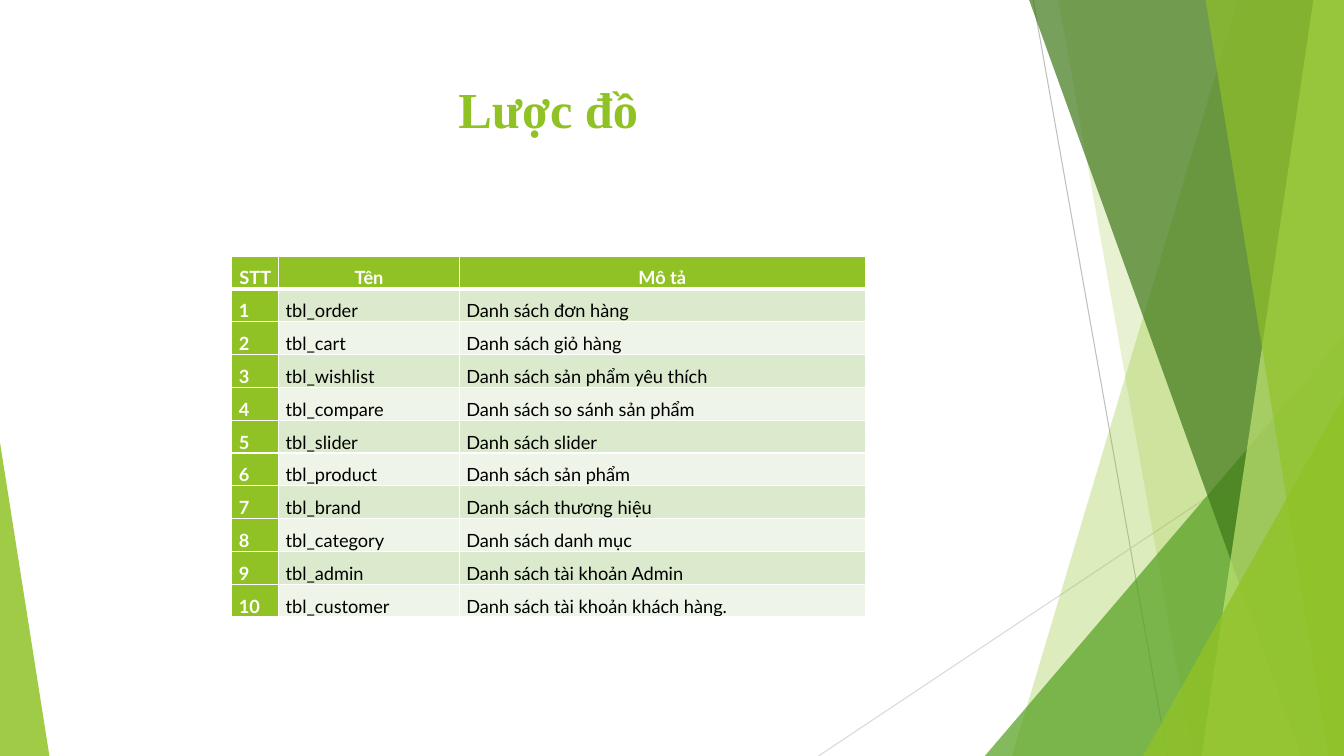
from lxml import etree
from pptx import Presentation
from pptx.dml.color import RGBColor
from pptx.enum import shapes, text
from pptx.oxml import ns
from pptx.util import Pt

W, H = 960, 540
COLORS = {
    "lime": "90C226", "leaf": "54A021", "forest": "3F7819", "pale": "C0E474",
    "white": "FFFFFF", "black": "000000", "odd": "DBE9CD", "even": "EEF4E8",
    "gray": "BFBFBF", "light_gray": "D9D9D9",
}


def rgb(name):
    return RGBColor.from_string(COLORS[name])


def write(tf, content, size, font, color, bold=False, align=None, spacing=None):
    p = tf.paragraphs[0]
    p.alignment = align
    p.line_spacing = spacing
    r = p.add_run()
    r.text = content
    r.font.size = Pt(size)
    r.font.name = font
    r.font.bold = bold
    r.font.color.rgb = rgb(color)


prs = Presentation()
prs.slide_width, prs.slide_height = Pt(W), Pt(H)
s = prs.slides.add_slide(prs.slide_layouts[6])

for x1, y1, x2, y2, color in [
    (738, 0, 833.76, H, "gray"),
    (W, 290.16, 584.64, H, "light_gray"),
]:
    line = s.shapes.add_connector(
        shapes.MSO_CONNECTOR.STRAIGHT, Pt(x1), Pt(y1), Pt(x2), Pt(y2))
    line.line.width = Pt(0.75)
    line.line.color.rgb = rgb(color)
    etree.SubElement(line._element.spPr, ns.qn("a:effectLst"))

facets = [
    ("band", (884.16, 722.88), "lime", 30),
    ("band", (756, 851.76), "lime", 20),
    ("triangle", (703.44, 239.76, 256.56, 1), "leaf", 72),
    ("band", (735.12, 929.52), "forest", 70),
    ("band", (938.16, 858.24), "pale", 70),
    ("band", (861.12, 948.96), "lime", 65),
    ("triangle", (816.48, 282.96, 143.52, 1), "lime", 80),
    ("triangle", (0, 316.08, 35.28, 0), "lime", 85),
]
for kind, geometry, color, opacity in facets:
    if kind == "band":
        top_x, bottom_x = geometry
        fb = s.shapes.build_freeform(Pt(top_x), 0)
        fb.add_line_segments(
            [(Pt(W), 0), (Pt(W), Pt(H)), (Pt(bottom_x), Pt(H))], close=True)
        sp = fb.convert_to_shape()
    else:
        left, top, width, apex = geometry
        sp = s.shapes.add_shape(
            shapes.MSO_SHAPE.ISOSCELES_TRIANGLE,
            Pt(left), Pt(top), Pt(width), Pt(H - top))
        sp.adjustments[0] = apex
    sp.shadow.inherit = False
    sp.line.fill.background()
    sp.fill.solid()
    sp.fill.fore_color.rgb = rgb(color)
    fill_color = sp._element.spPr.find(ns.qn("a:solidFill"))[0]
    etree.SubElement(fill_color, ns.qn("a:alpha"), val=str(opacity * 1000))

title = s.shapes.add_textbox(Pt(53.28), Pt(48.24), Pt(676.8), Pt(103.68))
tf = title.text_frame
tf.word_wrap = True
tf.vertical_anchor = text.MSO_ANCHOR.TOP
tf.margin_top = Pt(7.6)
write(tf, "Lược đồ", 36, "Times New Roman", "lime", bold=True,
      align=text.PP_ALIGN.CENTER)

entries = [
    ("tbl_order", "Danh sách đơn hàng"),
    ("tbl_cart", "Danh sách giỏ hàng"),
    ("tbl_wishlist", "Danh sách sản phẩm yêu thích"),
    ("tbl_compare", "Danh sách so sánh sản phẩm"),
    ("tbl_slider", "Danh sách slider"),
    ("tbl_product", "Danh sách sản phẩm"),
    ("tbl_brand", "Danh sách thương hiệu"),
    ("tbl_category", "Danh sách danh mục"),
    ("tbl_admin", "Danh sách tài khoản Admin"),
    ("tbl_customer", "Danh sách tài khoản khách hàng."),
]
rows = [("STT", "Tên", "Mô tả")]
rows += [(str(i), name, note) for i, (name, note) in enumerate(entries, 1)]
col_widths = [33.5, 129, 290]
row_height = 23.4

table = s.shapes.add_table(
    len(rows), len(col_widths), Pt(165.6), Pt(182.88),
    Pt(sum(col_widths)), Pt(row_height * len(rows))).table
for column, width in zip(table.columns, col_widths):
    column.width = Pt(width)

for i, row in enumerate(rows):
    table.rows[i].height = Pt(row_height)
    for j, content in enumerate(row):
        cell = table.cell(i, j)
        accent = i == 0 or j == 0
        cell.margin_left = cell.margin_right = Pt(5.04)
        cell.margin_top = cell.margin_bottom = 0
        cell.vertical_anchor = text.MSO_ANCHOR.MIDDLE
        cell.fill.solid()
        cell.fill.fore_color.rgb = rgb(
            "lime" if accent else "odd" if i % 2 else "even")
        if i == 0:
            align = text.PP_ALIGN.CENTER
        else:
            align = text.PP_ALIGN.JUSTIFY if i >= 9 else text.PP_ALIGN.LEFT
        write(cell.text_frame, content, 13, "Lato",
              "white" if accent else "black", bold=accent,
              align=align, spacing=1.5)
        tc_pr = cell._tc.get_or_add_tcPr()
        for k, side in enumerate(["lnL", "lnR", "lnT", "lnB"]):
            thick = (i, side) in [(0, "lnB"), (1, "lnT")]
            ln = etree.Element(ns.qn("a:" + side), w=str(Pt(3 if thick else 1)))
            fill = etree.SubElement(ln, ns.qn("a:solidFill"))
            etree.SubElement(fill, ns.qn("a:srgbClr"), val=COLORS["white"])
            tc_pr.insert(k, ln)

prs.save("out.pptx")
